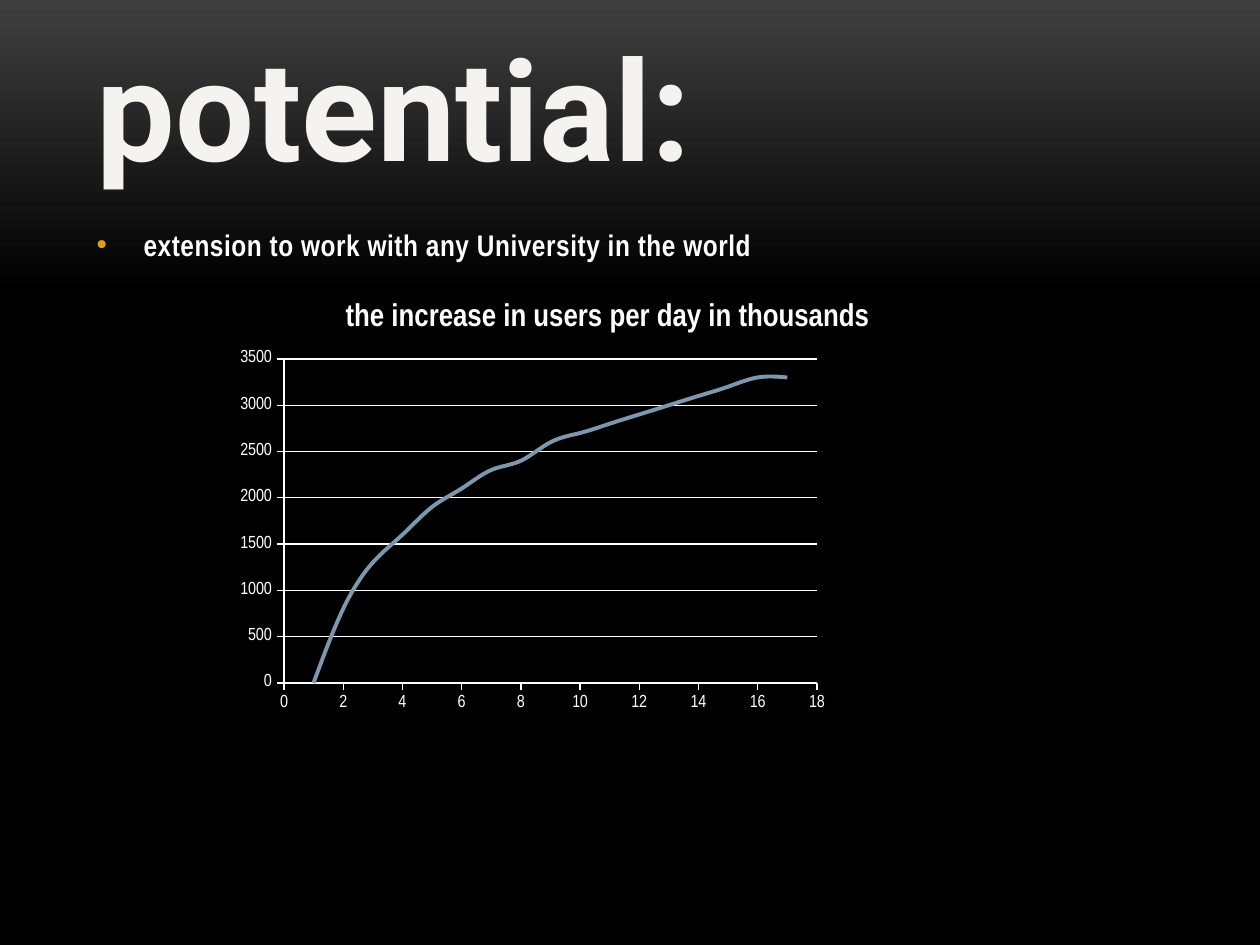
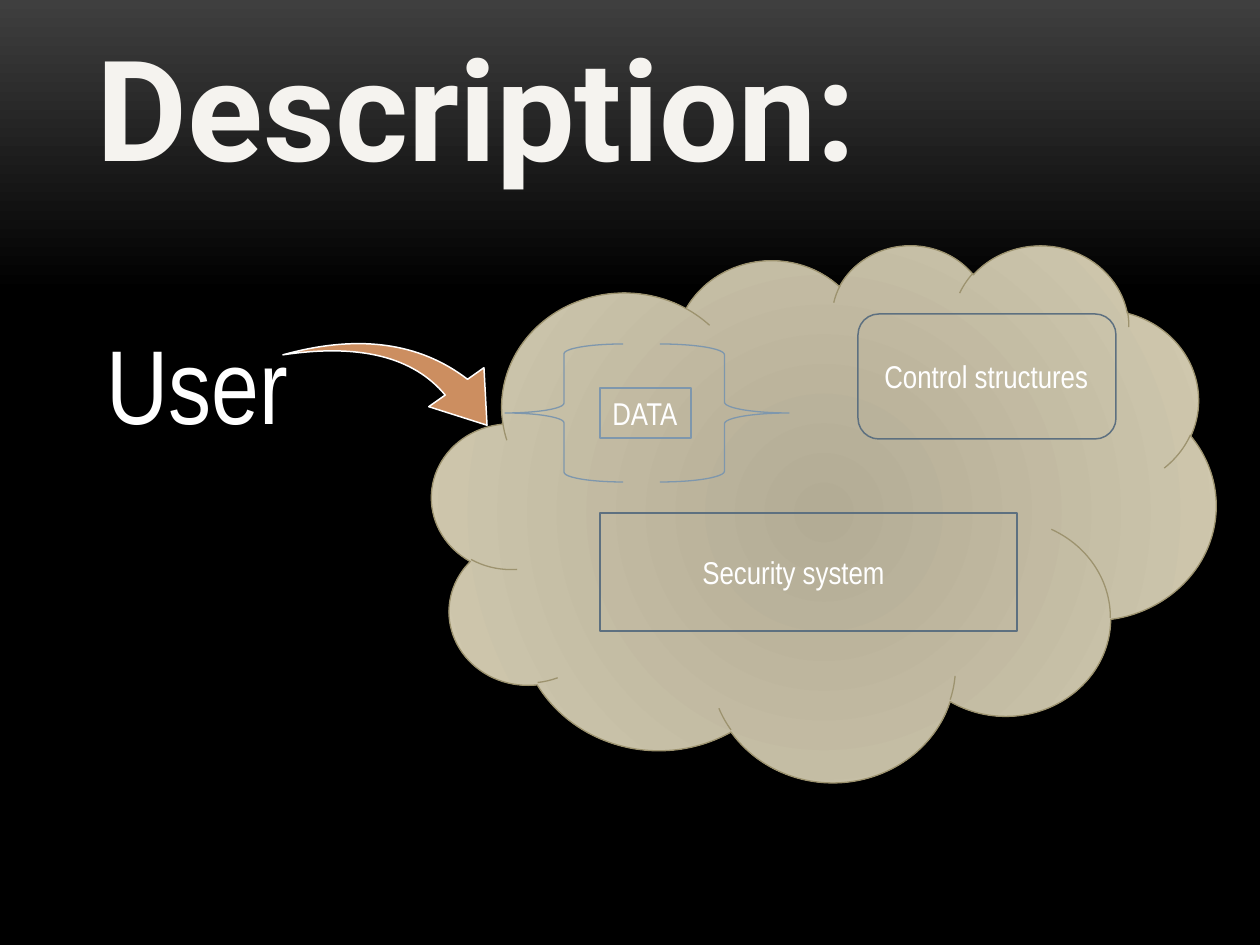
import lxml.etree
import pptx
import pptx.chart.data
import pptx.dml.color
import pptx.enum.chart
import pptx.enum.shapes
import pptx.enum.text
import pptx.oxml
import pptx.oxml.ns
import pptx.util

from dataclasses import dataclass

SHAPE = pptx.enum.shapes.MSO_SHAPE
qn = pptx.oxml.ns.qn

CHART_BOX = (233, 284, 756, 441)
USERS = (0, 800, 1300, 1600, 1900, 2100, 2300, 2400, 2600,
         2700, 2800, 2900, 3000, 3100, 3200, 3300, 3300)


@dataclass(frozen=True)
class Theme:
    """Colours, fonts and type sizes shared by the slides."""
    title_font: str = "Roboto"
    text_font: str = "Arial Narrow"
    title: str = "F5F3EF"
    text: str = "FFFFFF"
    bullet: str = "DC9E1F"
    blue: str = "7E97AD"
    dark_blue: str = "5D7080"
    orange: str = "CC8E60"
    cloud_line: str = "9D936F"
    cloud_stops: tuple = ((0, "B3AC95"), (100, "D3CBB1"))
    bg_stops: tuple = ((0, "3F3F3F"), (31, "000000"), (100, "000000"))
    title_size: int = 80
    user_size: int = 60
    label_size: int = 18
    list_size: int = 17
    axis_size: int = 10


THEME = Theme()


def px(n):
    """Turn px into EMU."""
    return pptx.util.Emu(round(n * 914400 / 126))


def box(*lengths):
    """Turn left, top, width and height from px into EMU."""
    return [px(n) for n in lengths]


def rgb(color):
    """Return a colour object for a hex string."""
    return pptx.dml.color.RGBColor.from_string(color)


def set_font(font, size, color=THEME.text, name=THEME.text_font, bold=False):
    """Set face, size, colour and weight of a font."""
    font.name, font.size, font.bold = name, pptx.util.Pt(size), bold
    font.color.rgb = rgb(color)


def set_line(line, color, width=0.75):
    """Give a line a colour and a width in points."""
    line.color.rgb = rgb(color)
    line.width = pptx.util.Pt(width)


def set_gradient(fill, parent, stops, direction):
    """Fill with gradient stops along the given direction element."""
    fill.solid()
    gs = "".join(f'<a:gs pos="{pos * 1000}"><a:srgbClr val="{color}"/></a:gs>'
                 for pos, color in stops)
    grad = pptx.oxml.parse_xml(
        f'<a:gradFill {pptx.oxml.ns.nsdecls("a")} rotWithShape="1">'
        f'<a:gsLst>{gs}</a:gsLst>{direction}</a:gradFill>')
    parent.replace(parent.find(qn("a:solidFill")), grad)


def set_background(master):
    """Give all slides the dark vertical gradient."""
    fill = master.background.fill
    fill.solid()
    parent = master.element.find(".//" + qn("p:bgPr"))
    set_gradient(fill, parent, THEME.bg_stops, '<a:lin ang="5400000" scaled="0"/>')


def add_slide(prs, layout, title):
    """Add a slide with the shared title style."""
    slide = prs.slides.add_slide(prs.slide_layouts[layout])
    sp = slide.shapes.title
    sp.left, sp.top, sp.width, sp.height = box(84, 39, 1092, 157)
    tf = sp.text_frame
    tf.text = title
    tf.auto_size = pptx.enum.text.MSO_AUTO_SIZE.NONE
    tf.vertical_anchor = pptx.enum.text.MSO_ANCHOR.BOTTOM
    p = tf.paragraphs[0]
    p.alignment = pptx.enum.text.PP_ALIGN.LEFT
    set_font(p.font, THEME.title_size, THEME.title, THEME.title_font, True)
    return slide


def fill_list(sp, items):
    """Write bold bulleted items into the body placeholder."""
    sp.left, sp.top, sp.width, sp.height = box(84, 220, 1092, 567)
    tf = sp.text_frame
    tf.auto_size = pptx.enum.text.MSO_AUTO_SIZE.NONE
    tf.text = "\n".join(items)
    for p in tf.paragraphs:
        set_font(p.font, THEME.list_size, bold=True)
        p.space_before, p.space_after = pptx.util.Pt(3.4), pptx.util.Pt(6)
        for r in p.runs:
            r.font._element.set("spc", "30")
        ppr = p._p.get_or_add_pPr()
        ppr.set("marL", str(px(47)))
        ppr.set("indent", str(-px(47)))
        color = lxml.etree.Element(qn("a:buClr"))
        lxml.etree.SubElement(color, qn("a:srgbClr"), val=THEME.bullet)
        char = lxml.etree.Element(qn("a:buChar"), char="•")
        ppr.find(qn("a:spcAft")).addnext(color)
        color.addnext(char)


def chart_layout(target, **lengths):
    """Return a chart layout element from px lengths within the chart."""
    width, height = CHART_BOX[2:]
    totals = {"x": width, "y": height, "w": width, "h": height}
    values = dict(target, xMode="edge", yMode="edge")
    values.update({key: n / totals[key] for key, n in lengths.items()})
    parts = "".join(f'<c:{tag} val="{val}"/>' for tag, val in values.items())
    return pptx.oxml.parse_xml(
        f'<c:layout {pptx.oxml.ns.nsdecls("c")}>'
        f'<c:manualLayout>{parts}</c:manualLayout></c:layout>')


def set_layout(parent, index, layout):
    """Put a layout at its index in a chart part."""
    for old in parent.findall(qn("c:layout")):
        parent.remove(old)
    parent.insert(index, layout)


def format_axis(axis, top, step, grid):
    """Set scale, ticks and lines of an axis."""
    axis.minimum_scale, axis.maximum_scale, axis.major_unit = 0, top, step
    axis.major_tick_mark = pptx.enum.chart.XL_TICK_MARK.OUTSIDE
    axis.minor_tick_mark = pptx.enum.chart.XL_TICK_MARK.NONE
    axis.has_major_gridlines = grid
    set_line(axis.format.line, THEME.text)
    if grid:
        set_line(axis.major_gridlines.format.line, THEME.text)


def add_growth_chart(slide, title, values):
    """Add a smooth scatter line of values counted from one."""
    data = pptx.chart.data.XyChartData(number_format="0")
    points = data.add_series("Series 1")
    for x, y in enumerate(values, 1):
        points.add_data_point(x, y)
    kind = pptx.enum.chart.XL_CHART_TYPE.XY_SCATTER_SMOOTH_NO_MARKERS
    chart = slide.shapes.add_chart(kind, *box(*CHART_BOX), data).chart
    chart.has_legend = False
    set_font(chart.font, THEME.axis_size)
    chart.has_title = True
    tf = chart.chart_title.text_frame
    tf.text = title
    set_font(tf.paragraphs[0].font, THEME.label_size, bold=True)
    format_axis(chart.category_axis, 18, 2, False)
    format_axis(chart.value_axis, 3500, 500, True)
    plot = chart.plots[0]
    plot.vary_by_categories = False
    series = plot.series[0]
    set_line(series.format.line, THEME.blue, 2.25)
    ser = series._element
    for old in ser.findall(qn("c:smooth")):
        ser.remove(old)
    ser.find(qn("c:yVal")).addnext(lxml.etree.Element(qn("c:smooth"), val="1"))
    set_layout(chart._chartSpace.find(".//" + qn("c:plotArea")), 0,
               chart_layout({"layoutTarget": "inner"}, x=51, y=75, w=533, h=324))
    set_layout(chart.chart_title._element, 1, chart_layout({}, x=107, y=11))


def write_label(sp, text, size=THEME.label_size):
    """Write one unwrapped, left-aligned line into a shape."""
    tf = sp.text_frame
    tf.text = text
    tf.word_wrap = False
    tf.auto_size = pptx.enum.text.MSO_AUTO_SIZE.SHAPE_TO_FIT_TEXT
    p = tf.paragraphs[0]
    p.alignment = pptx.enum.text.PP_ALIGN.LEFT
    set_font(p.font, size)


def add_label(slide, text, place, size=THEME.label_size):
    """Add a one-line text box."""
    write_label(slide.shapes.add_textbox(*box(*place)), text, size)


def add_outline(slide, kind, place, color, width=0.75):
    """Add an unfilled preset shape with a coloured line."""
    sp = slide.shapes.add_shape(kind, *box(*place))
    sp.shadow.inherit = False
    sp.fill.background()
    set_line(sp.line, color, width)
    return sp


def add_cloud(slide, place):
    """Add the cloud with its radial gradient."""
    sp = add_outline(slide, SHAPE.CLOUD, place, THEME.cloud_line)
    centre = ('<a:path path="circle"><a:fillToRect l="50000" t="50000" '
              'r="50000" b="50000"/></a:path>')
    set_gradient(sp.fill, sp._element.spPr, THEME.cloud_stops, centre)


def add_swoosh(slide, place):
    """Add the turned swoosh arrow."""
    sp = add_outline(slide, SHAPE.SWOOSH_ARROW, place, THEME.text, 0.85)
    sp.rotation = 61.2
    sp.adjustments[0], sp.adjustments[1] = 0.16, 0.31
    sp.fill.solid()
    sp.fill.fore_color.rgb = rgb(THEME.orange)


def build_potential(prs):
    """Build the slide on growth."""
    slide = add_slide(prs, 1, "potential:")
    fill_list(slide.placeholders[1],
              ["extension to work with any University in the world"])
    add_growth_chart(slide, "the increase in users per day in thousands", USERS)


def build_description(prs):
    """Build the slide on the system's parts."""
    slide = add_slide(prs, 5, "Description:")
    add_label(slide, "User", (94, 313, 209, 140), THEME.user_size)
    add_cloud(slide, (432, 244, 784, 537))
    add_swoosh(slide, (316, 299, 160, 170))
    add_outline(slide, SHAPE.LEFT_BRACE, (505, 344, 118, 138), THEME.blue)
    add_outline(slide, SHAPE.RIGHT_BRACE, (660, 344, 129, 138), THEME.blue)
    data = add_outline(slide, SHAPE.RECTANGLE, (600, 388, 91, 50), THEME.blue)
    write_label(data, "DATA")
    add_outline(slide, SHAPE.ROUNDED_RECTANGLE, (858, 314, 258, 125),
                THEME.dark_blue, 0.85)
    add_label(slide, "Control structures", (872, 351, 232, 50))
    add_outline(slide, SHAPE.RECTANGLE, (600, 513, 417, 118),
                THEME.dark_blue, 0.85)
    add_label(slide, "Security system", (690, 547, 216, 50))


def main():
    """Build and save the presentation."""
    prs = pptx.Presentation()
    prs.slide_width, prs.slide_height = px(1260), px(945)
    set_background(prs.slide_master)
    build_potential(prs)
    build_description(prs)
    prs.save("out.pptx")


if __name__ == "__main__":
    main()
